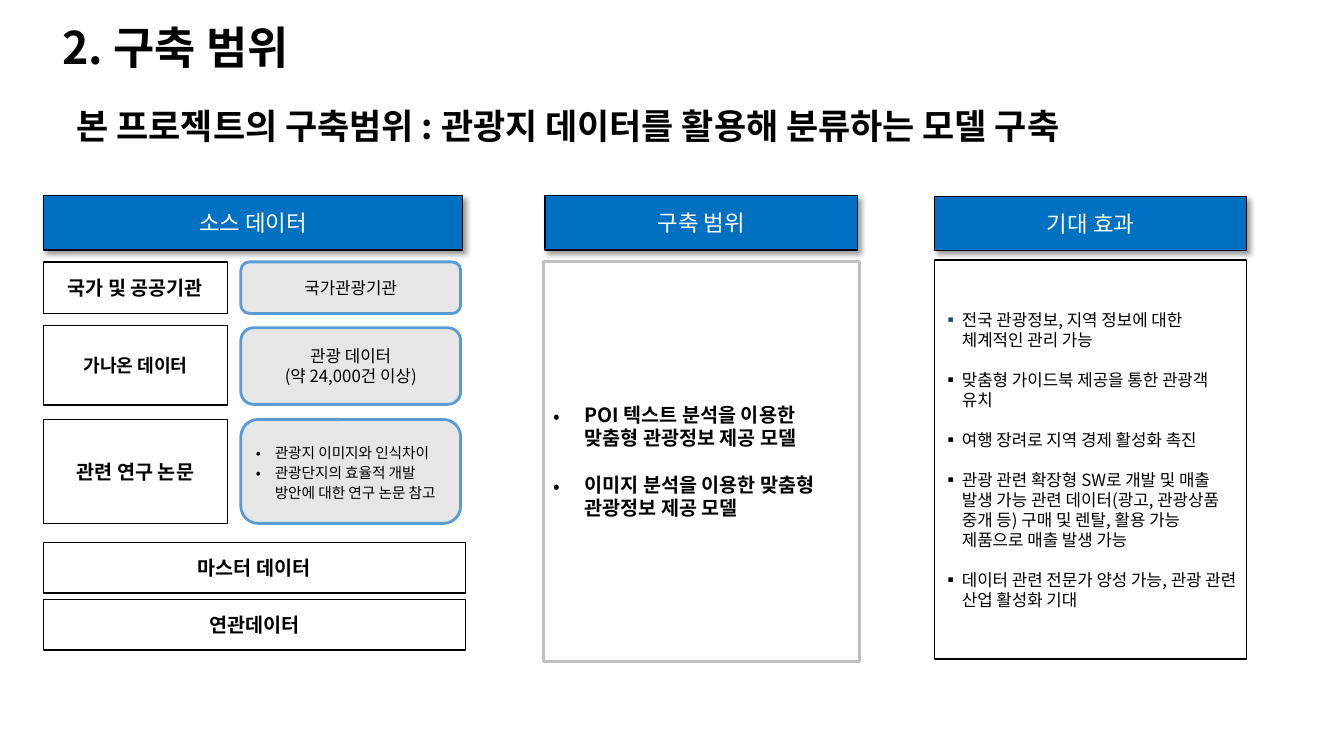
from dataclasses import dataclass

from lxml import etree
from pptx import Presentation
from pptx.dml.color import RGBColor
from pptx.enum.shapes import MSO_SHAPE
from pptx.enum.text import MSO_ANCHOR, PP_ALIGN
from pptx.oxml.ns import qn
from pptx.util import Cm, Pt

RECTANGLE, ROUNDED = MSO_SHAPE.RECTANGLE, MSO_SHAPE.ROUNDED_RECTANGLE
LEFT, CENTER = PP_ALIGN.LEFT, PP_ALIGN.CENTER
TOP, MIDDLE = MSO_ANCHOR.TOP, MSO_ANCHOR.MIDDLE

FONT = "Noto Sans CJK KR"
COLORS = {
    "black": "000000", "white": "FFFFFF", "blue": "0070C0", "sky": "5B9BD5",
    "pale": "E7E6E6", "silver": "BFBFBF", "navy": "1F497D",
}


@dataclass(frozen=True)
class TextStyle:
    size: float
    bold: bool = False
    color: str = "black"
    align: PP_ALIGN = CENTER
    anchor: MSO_ANCHOR = MIDDLE
    margins: tuple[float, float] = (0.25, 0.13)
    leading: float = 1.19
    gap: float = 0
    bullet: str = ""
    first_bullet_color: str = "black"
    indent: float = 0


@dataclass(frozen=True)
class BoxStyle:
    text: TextStyle
    fill: str = "white"
    line: str = "black"
    line_width: float = 1
    shape: MSO_SHAPE = RECTANGLE
    shadow: bool = False


@dataclass(frozen=True)
class Box:
    left: float
    top: float
    width: float
    height: float
    style: BoxStyle
    lines: tuple[str, ...]


@dataclass(frozen=True)
class Heading:
    left: float
    top: float
    width: float
    height: float
    size: float
    words: str


HEADER = BoxStyle(TextStyle(16, color="white", margins=(0.05, 0.13)),
                  fill="blue", shadow=True)
LABEL = BoxStyle(TextStyle(14, bold=True))
SMALL_LABEL = BoxStyle(TextStyle(13, bold=True))
SOURCE = BoxStyle(TextStyle(12), "pale", "sky", 2, ROUNDED)
PAPERS = BoxStyle(TextStyle(10.5, align=LEFT, leading=1.36, bullet="•", indent=0.48),
                  "pale", "sky", 2, ROUNDED)
SCOPE = BoxStyle(TextStyle(14, bold=True, align=LEFT, gap=16.7, bullet="•", indent=0.79),
                 line="silver", line_width=2.25)
EFFECTS = BoxStyle(TextStyle(12, align=LEFT, margins=(0.2, 0.2), gap=14.3, bullet="▪",
                             first_bullet_color="navy", indent=0.49))

HEADINGS = (
    Heading(1.32, 0.38, 7.42, 1.35, 32, "2. 구축 범위"),
    Heading(1.68, 2.51, 30.5, 1.8, 25,
            "본 프로젝트의 구축범위 : 관광지 데이터를 활용해 분류하는 모델 구축"),
)

LABEL_X, LABEL_WIDTH = 1.09, 4.65
SOURCE_X, SOURCE_WIDTH = 6.07, 5.54
WIDE, COLUMN_WIDTH = 10.64, 7.87
BOXES = (
    Box(LABEL_X, 6.6, LABEL_WIDTH, 1.3, LABEL, ("국가 및 공공기관",)),
    Box(SOURCE_X, 6.6, SOURCE_WIDTH, 1.3, SOURCE, ("국가관광기관",)),
    Box(LABEL_X, 8.2, LABEL_WIDTH, 2.01, SMALL_LABEL, ("가나온 데이터",)),
    Box(SOURCE_X, 8.26, SOURCE_WIDTH, 1.93, SOURCE, ("관광 데이터", "(약 24,000건 이상)")),
    Box(LABEL_X, 10.57, LABEL_WIDTH, 2.62, LABEL, ("관련 연구 논문",)),
    Box(SOURCE_X, 10.57, SOURCE_WIDTH, 2.62, PAPERS,
        ("관광지 이미지와 인식차이", "관광단지의 효율적 개발 방안에 대한 연구 논문 참고")),
    Box(LABEL_X, 13.67, WIDE, 1.27, LABEL, ("마스터 데이터",)),
    Box(LABEL_X, 15.11, WIDE, 1.27, LABEL, ("연관데이터",)),
    Box(13.69, 6.6, 7.98, 10.06, SCOPE,
        ("POI 텍스트 분석을 이용한 맞춤형 관광정보 제공 모델",
         "이미지 분석을 이용한 맞춤형 관광정보 제공 모델")),
    Box(23.55, 6.55, COLUMN_WIDTH, 10.06, EFFECTS,
        ("전국 관광정보, 지역 정보에 대한 체계적인 관리 가능",
         "맞춤형 가이드북 제공을 통한 관광객 유치",
         "여행 장려로 지역 경제 활성화 촉진",
         "관광 관련 확장형 SW로 개발 및 매출 발생 가능 관련 데이터(광고, 관광상품 중개 등) "
         "구매 및 렌탈, 활용 가능 제품으로 매출 발생 가능",
         "데이터 관련 전문가 양성 가능, 관광 관련 산업 활성화 기대")),
    Box(LABEL_X, 4.93, 10.57, 1.37, HEADER, ("소스 데이터",)),
    Box(13.74, 4.93, COLUMN_WIDTH, 1.37, HEADER, ("구축 범위",)),
    Box(23.55, 4.95, COLUMN_WIDTH, 1.37, HEADER, ("기대 효과",)),
)


def rgb(name: str) -> RGBColor:
    return RGBColor.from_string(COLORS[name])


def set_all(target, values: dict) -> None:
    for name, value in values.items():
        setattr(target, name, value)


def add_bullet(para, mark: str, color: str, indent: float) -> None:
    properties = para._p.get_or_add_pPr()
    properties.set("marL", str(Cm(indent)))
    properties.set("indent", str(-Cm(indent)))
    bullet_color = etree.SubElement(properties, qn("a:buClr"))
    etree.SubElement(bullet_color, qn("a:srgbClr"), val=COLORS[color])
    etree.SubElement(properties, qn("a:buFont"), typeface=FONT)
    etree.SubElement(properties, qn("a:buChar"), char=mark)


def add_shadow(shape) -> None:
    effects = shape._element.spPr.find(qn("a:effectLst"))
    outer = etree.SubElement(effects, qn("a:outerShdw"), blurRad=str(Pt(4)),
                             dist=str(Pt(3)), dir="2700000", algn="tl", rotWithShape="0")
    color = etree.SubElement(outer, qn("a:srgbClr"), val=COLORS["black"])
    etree.SubElement(color, qn("a:alpha"), val="40000")


def write_text(frame, lines: tuple[str, ...], style: TextStyle) -> None:
    across, down = (Cm(margin) for margin in style.margins)
    set_all(frame, {"word_wrap": True, "vertical_anchor": style.anchor,
                    "margin_left": across, "margin_right": across,
                    "margin_top": down, "margin_bottom": down})
    for index, line in enumerate(lines):
        para = frame.add_paragraph() if index else frame.paragraphs[0]
        set_all(para, {"alignment": style.align,
                       "line_spacing": Pt(style.size * style.leading),
                       "space_before": Pt(style.gap if index else 0)})
        if style.bullet:
            color = "black" if index else style.first_bullet_color
            add_bullet(para, style.bullet, color, style.indent)
        span = para.add_run()
        span.text = line
        set_all(span.font, {"size": Pt(style.size), "bold": style.bold, "name": FONT})
        span.font.color.rgb = rgb(style.color)
        etree.SubElement(span._r.get_or_add_rPr(), qn("a:ea"), typeface=FONT)


def draw_heading(page, heading: Heading) -> None:
    place = (heading.left, heading.top, heading.width, heading.height)
    text_box = page.shapes.add_textbox(*map(Cm, place))
    style = TextStyle(heading.size, bold=True, align=LEFT, anchor=TOP)
    write_text(text_box.text_frame, (heading.words,), style)


def draw_box(page, box: Box) -> None:
    style = box.style
    place = (box.left, box.top, box.width, box.height)
    shape = page.shapes.add_shape(style.shape, *map(Cm, place))
    shape.fill.solid()
    shape.fill.fore_color.rgb = rgb(style.fill)
    shape.line.color.rgb = rgb(style.line)
    shape.line.width = Pt(style.line_width)
    shape.shadow.inherit = False
    if style.shadow:
        add_shadow(shape)
    write_text(shape.text_frame, box.lines, style.text)


def main() -> None:
    deck = Presentation()
    set_all(deck, {"slide_width": Cm(33.87), "slide_height": Cm(19.05)})
    page = deck.slides.add_slide(deck.slide_layouts[6])
    for heading in HEADINGS:
        draw_heading(page, heading)
    for box in BOXES:
        draw_box(page, box)
    deck.save("out.pptx")


if __name__ == "__main__":
    main()
